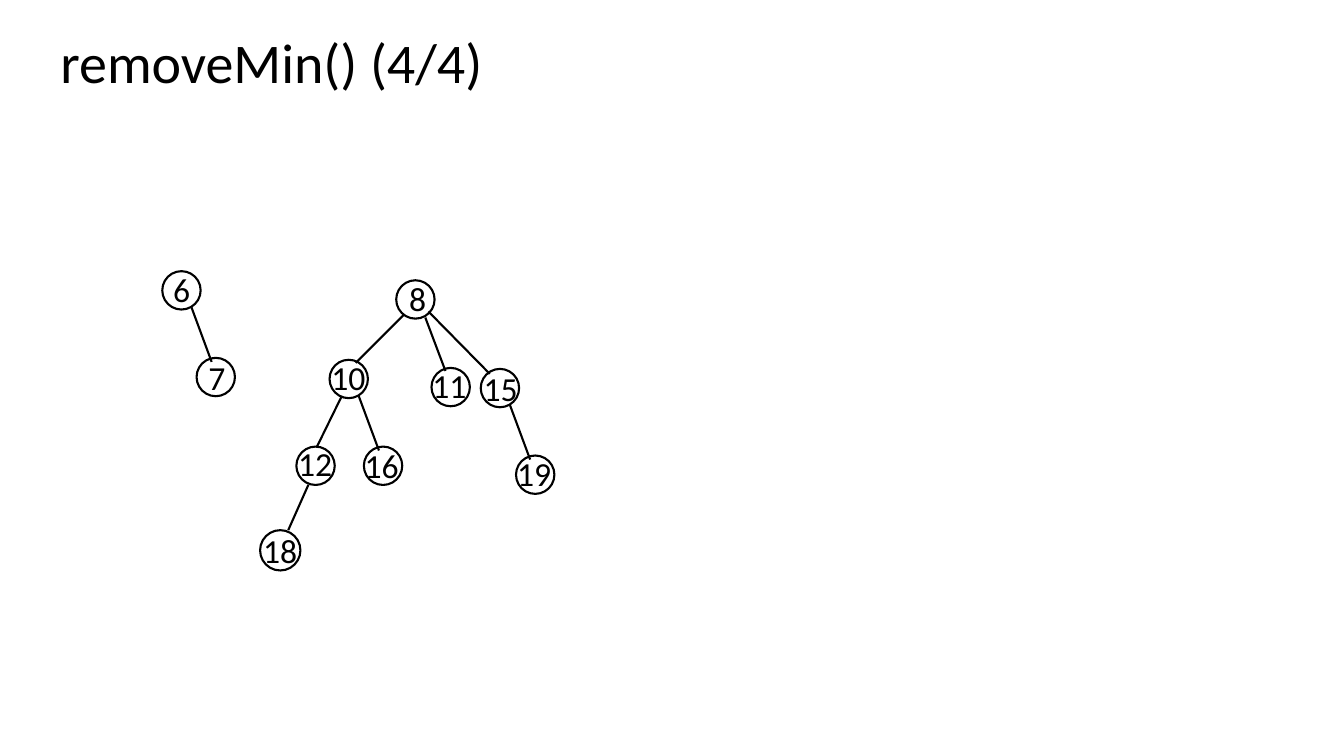
from lxml.etree import SubElement
from pptx import Presentation
from pptx.dml.color import RGBColor
from pptx.enum.shapes import MSO_CONNECTOR, MSO_SHAPE
from pptx.enum.text import MSO_ANCHOR, MSO_AUTO_SIZE, PP_ALIGN
from pptx.oxml.ns import qn
from pptx.util import Pt

OVAL = MSO_SHAPE.OVAL
LINE = MSO_CONNECTOR.STRAIGHT
TOP, MIDDLE = MSO_ANCHOR.TOP, MSO_ANCHOR.MIDDLE
LEFT, CENTER = PP_ALIGN.LEFT, PP_ALIGN.CENTER
NONE, GROW = MSO_AUTO_SIZE.NONE, MSO_AUTO_SIZE.SHAPE_TO_FIT_TEXT
INK = "000000"


def paint(color, code):
    color.rgb = RGBColor.from_string(code)


def write(shape, text, size, align, frame):
    body = shape.text_frame
    for key, value in frame.items():
        setattr(body, key, value)
    line = body.paragraphs[0]
    line.text = text
    line.alignment = align
    for key, value in {"name": "Calibri", "size": Pt(size)}.items():
        setattr(line.font, key, value)
    paint(line.font.color, INK)
    return line


deck = Presentation()
deck.slide_width, deck.slide_height = Pt(960), Pt(540)
slide = deck.slides.add_slide(deck.slide_layouts[5])
shapes = slide.shapes

title = shapes.title
place = {"left": 36, "top": 21.6, "width": 854.6, "height": 90}
for key, value in place.items():
    setattr(title, key, Pt(value))
frame = {"vertical_anchor": TOP, "auto_size": NONE, "word_wrap": True}
head = write(title, "removeMin() (4/4)", 40, LEFT, frame)
head.line_spacing = 0.9

nodes = {
    "6": (115.9, 193.7, 27.4),
    "7": (140.4, 255.6, 27.4),
    "12": (211.7, 319, 27.4),
    "10": (235.4, 257, 27.4),
    "16": (259.9, 319, 27.4),
    "8": (283, 200.2, 27.4),
    "11": (308.2, 262.8, 27.4),
    "15": (343.4, 263.5, 27.4),
    "19": (368.6, 325.4, 27.4),
    "18": (185.8, 378.7, 28.8),
}
rings = {}
for key, (x, y, size) in nodes.items():
    ring = shapes.add_shape(OVAL, Pt(x), Pt(y), Pt(size), Pt(size))
    ring.shadow.inherit = False
    ring.fill.background()
    paint(ring.line.color, INK)
    ring.line.width = Pt(1.5)
    rings[key] = ring

edges = [
    (136.8, 219.6, 151.2, 258.5),
    (256.3, 283, 270.7, 321.8),
    (303.8, 226.8, 318.2, 265),
    (364.3, 289.4, 378.7, 328.3),
    (306, 222.5, 349.9, 267.1),
    (220.3, 346.3, 205.9, 378.7),
    (244.1, 283, 226.1, 319.7),
    (288.7, 224.6, 254.2, 259.2),
]
for ends in edges:
    edge = shapes.add_connector(LINE, *map(Pt, ends))
    paint(edge.line.color, INK)
    edge.line.width = Pt(1.5)
    SubElement(edge._element.spPr, qn("a:effectLst"))

labels = {
    "6": (116.6, 188.6),
    "7": (141.8, 251.3),
    "12": (205.9, 312.5),
    "10": (229.7, 251.3),
    "8": (285.1, 195.1),
    "16": (253.4, 313.9),
    "11": (301.7, 257),
    "15": (338.4, 259.2),
    "19": (362.2, 319.7),
}
frame = {"vertical_anchor": TOP, "auto_size": GROW, "word_wrap": False}
for text, (x, y) in labels.items():
    width = 14.4 + 12.2 * len(text)
    label = shapes.add_textbox(Pt(x), Pt(y), Pt(width), Pt(36))
    write(label, text, 24, LEFT, frame)

frame = {"vertical_anchor": MIDDLE, "auto_size": NONE, "word_wrap": False}
write(rings["18"], "18", 24, CENTER, frame)

deck.save("out.pptx")
